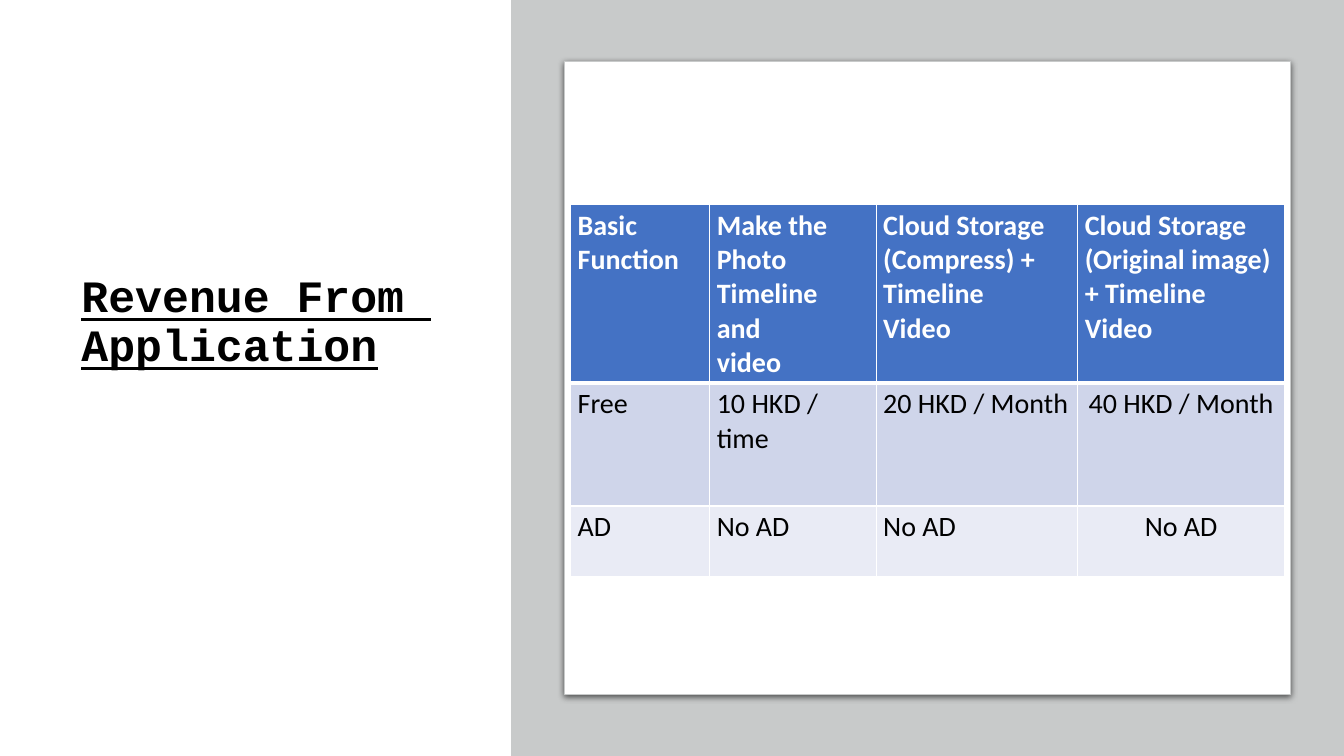
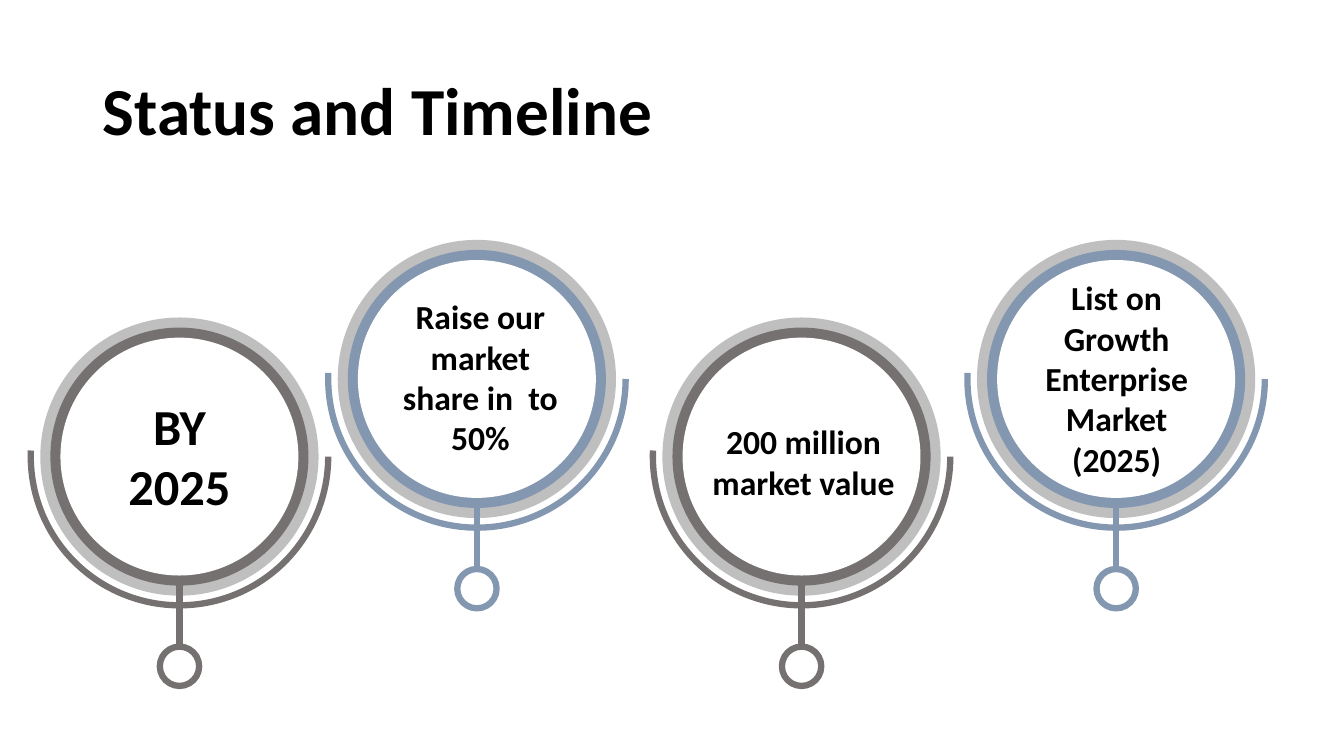
"""Build two slides: a pricing table and a timeline of milestones."""
from lxml.etree import SubElement
from pptx import Presentation
from pptx.dml.color import RGBColor
from pptx.enum.shapes import MSO_CONNECTOR, MSO_SHAPE
from pptx.enum.text import MSO_ANCHOR, PP_ALIGN
from pptx.oxml.ns import qn
from pptx.util import Inches, Pt

COLORS = {
    "black": "000000", "white": "FFFFFF", "panel": "C8CACA",
    "header": "4472C4", "band": "CFD5EA", "light": "E9EBF5",
    "halo": "BFBFBF", "gray": "767171", "blue": "8497B0",
}
STROKE = 4.5

PRICES = [
    [["Basic", "Function"],
     ["Make the Photo", "Timeline", "and", "video"],
     ["Cloud Storage", "(Compress) + Timeline", "Video"],
     ["Cloud Storage", "(Original image) + Timeline", "Video"]],
    [["Free"], ["10 HKD / time"], ["20 HKD / Month"], ["40 HKD / Month"]],
    [["AD"], ["No AD"], ["No AD"], ["No AD"]],
]
PRICE_WIDTHS = [1.38, 1.65, 2, 2.05]
PRICE_HEIGHTS = [1.77, 1.22, 0.7]
PRICE_FILLS = ["header", "band", "light"]

MILESTONES = [
    (1.78, 4.53, "gray", ["BY", "2025"], 36, (0.88, 3.87, 1.8, 1.31)),
    (4.73, 3.76, "blue", ["Raise our market share in  to 50%"], 24,
     (3.83, 2.89, 1.87, 1.72)),
    (7.95, 4.53, "gray", ["200 million market value"], 24,
     (6.96, 4.13, 2.02, 0.91)),
    (11.07, 3.76, "blue", ["List on Growth Enterprise Market", "(2025)"], 24,
     (10.14, 2.7, 1.87, 2.12)),
]


def rgb(name):
    """Return the named colour."""
    return RGBColor.from_string(COLORS[name])


def write(frame, lines, size=20, font="Calibri", color="black", bold=True,
          underline=False, align=PP_ALIGN.LEFT, spacing=None):
    """Fill a text frame with one paragraph per line."""
    frame.word_wrap = True
    for index, line in enumerate(lines):
        paragraph = frame.add_paragraph() if index else frame.paragraphs[0]
        paragraph.alignment = align
        paragraph.line_spacing = spacing
        run = paragraph.add_run()
        run.text = line
        run.font.size = Pt(size)
        run.font.name = font
        run.font.bold = bold
        run.font.underline = underline
        run.font.color.rgb = rgb(color)


def add_text(slide, box, lines, anchor=MSO_ANCHOR.TOP, **text_format):
    """Add a text box."""
    frame = slide.shapes.add_textbox(*map(Inches, box)).text_frame
    frame.vertical_anchor = anchor
    write(frame, lines, **text_format)


def add_form(slide, kind, box, fill=None, line=None, width=STROKE):
    """Add a preset shape without a shadow."""
    form = slide.shapes.add_shape(kind, *map(Inches, box))
    form.shadow.inherit = False
    if fill:
        form.fill.solid()
        form.fill.fore_color.rgb = rgb(fill)
    else:
        form.fill.background()
    if line:
        form.line.color.rgb = rgb(line)
        form.line.width = Pt(width)
    else:
        form.line.fill.background()
    return form


def add_round(slide, x, y, diameter, kind=MSO_SHAPE.OVAL, **look):
    """Add a round shape centred on a point."""
    box = (x - diameter / 2, y - diameter / 2, diameter, diameter)
    return add_form(slide, kind, box, **look)


def add_stem(slide, x, top, bottom, color):
    """Add a vertical line."""
    stem = slide.shapes.add_connector(
        MSO_CONNECTOR.STRAIGHT, *map(Inches, (x, top, x, bottom)))
    stem.line.color.rgb = rgb(color)
    stem.line.width = Pt(STROKE)
    SubElement(stem.element.spPr, qn("a:effectLst"))


def drop_shadow(form):
    """Give a shape a soft shadow below it."""
    effects = form.element.spPr.find(qn("a:effectLst"))
    shadow = SubElement(effects, qn("a:outerShdw"), blurRad=str(Pt(4.5)),
                        dist=str(Pt(1.5)), dir="5400000", rotWithShape="0")
    color = SubElement(shadow, qn("a:srgbClr"), val=COLORS["black"])
    SubElement(color, qn("a:alpha"), val="63000")


def fill_cell(cell, fill, bottom):
    """Set a cell's white borders, fill and margins."""
    properties = cell._tc.get_or_add_tcPr()
    for side, width in (("L", 1), ("R", 1), ("T", 1), ("B", bottom)):
        border = SubElement(properties, qn(f"a:ln{side}"), w=str(Pt(width)))
        paint = SubElement(border, qn("a:solidFill"))
        SubElement(paint, qn("a:srgbClr"), val=COLORS["white"])
    cell.fill.solid()
    cell.fill.fore_color.rgb = rgb(fill)
    cell.margin_left = cell.margin_right = Inches(0.07)
    cell.margin_top = cell.margin_bottom = Inches(0.04)


def add_prices(slide):
    """Add the table of plans and prices."""
    box = (5.66, 2.03, sum(PRICE_WIDTHS), sum(PRICE_HEIGHTS))
    prices = slide.shapes.add_table(
        len(PRICES), len(PRICE_WIDTHS), *map(Inches, box)).table
    for column, width in zip(prices.columns, PRICE_WIDTHS):
        column.width = Inches(width)
    for row, height in zip(prices.rows, PRICE_HEIGHTS):
        row.height = Inches(height)
    last = len(PRICE_WIDTHS) - 1
    for r, plans in enumerate(PRICES):
        heading = r == 0
        for c, lines in enumerate(plans):
            cell = prices.cell(r, c)
            fill_cell(cell, PRICE_FILLS[r], 3 if heading else 1)
            centred = c == last and not heading
            write(cell.text_frame, lines, bold=heading,
                  color="white" if heading else "black",
                  align=PP_ALIGN.CENTER if centred else PP_ALIGN.LEFT)


def add_milestone(slide, x, y, color, lines, size, label_box):
    """Add a ringed circle with its arc, stem, knob and label."""
    for diameter, fill in ((2.76, "halo"), (2.56, color), (2.36, "white")):
        add_round(slide, x, y, diameter, fill=fill)
    arc = add_round(slide, x, y, 2.95, MSO_SHAPE.ARC, line=color)
    arc.rotation = 90
    arc.adjustments[0] = 162
    arc.adjustments[1] = 55.41
    add_stem(slide, x, y + 1.18, y + 1.91, color)
    add_round(slide, x, y + 2.08, 0.39, line=color)
    add_text(slide, label_box, lines, size=size, align=PP_ALIGN.CENTER)


def build_revenue(slide):
    """Build the revenue slide."""
    add_text(slide, (0.71, 2.67, 3.83, 4.14), ["Revenue From  Application"],
             size=32, font="Courier New", underline=True, spacing=0.9)
    add_form(slide, MSO_SHAPE.RECTANGLE, (5.07, 0, 8.26, 7.5), fill="panel")
    card = add_form(slide, MSO_SHAPE.ROUNDED_RECTANGLE, (5.6, 0.61, 7.2, 6.28),
                    fill="white", line="panel", width=0.75)
    card.adjustments[0] = 0
    drop_shadow(card)
    add_prices(slide)


def build_timeline(slide):
    """Build the timeline slide."""
    add_text(slide, (0.92, 0.4, 11.5, 1.45), ["Status and Timeline"],
             anchor=MSO_ANCHOR.MIDDLE, size=48, spacing=0.9)
    for milestone in MILESTONES:
        add_milestone(slide, *milestone)


def main():
    """Build and save the presentation."""
    deck = Presentation()
    deck.slide_width = Inches(13.33)
    deck.slide_height = Inches(7.5)
    for build in (build_revenue, build_timeline):
        build(deck.slides.add_slide(deck.slide_layouts[6]))
    deck.save("out.pptx")


if __name__ == "__main__":
    main()
